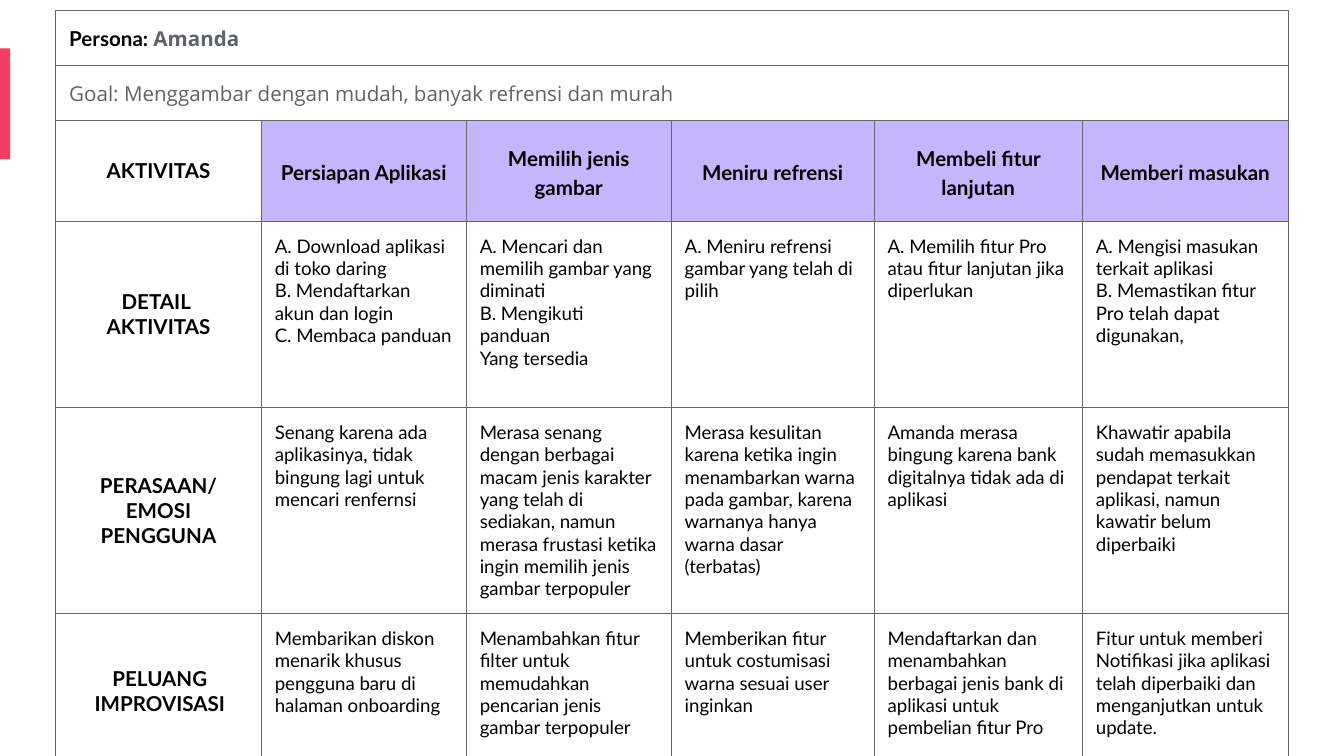
from dataclasses import dataclass

from lxml import etree
from pptx import Presentation
from pptx.dml.color import RGBColor
from pptx.enum.shapes import MSO_SHAPE
from pptx.enum.text import MSO_ANCHOR, PP_ALIGN
from pptx.oxml.ns import qn
from pptx.util import Emu, Pt

RECTANGLE = MSO_SHAPE.RECTANGLE
TOP, MIDDLE = MSO_ANCHOR.TOP, MSO_ANCHOR.MIDDLE
LEFT, CENTER = PP_ALIGN.LEFT, PP_ALIGN.CENTER

EMU_PER_PX = 4572  # 200 px to the inch
BLACK, GRAY, WHITE = "000000", "5F6368", "FFFFFF"
LILAC, ROSE, BORDER = "C4B5FD", "F43F5E", "666666"
BORDER_WIDTH = Pt(0.75)
CELL_MARGIN = 20

COLUMN_WIDTHS = [306, 305, 305, 302, 310, 306]
ROW_HEIGHTS = [74, 74, 150, 277, 264, 230]


@dataclass
class JourneyRow:
    label: str
    details: list[str]
    label_margin: int = CELL_MARGIN


STAGES = ["Persiapan Aplikasi", "Memilih jenis gambar", "Meniru refrensi",
          "Membeli fitur lanjutan", "Memberi masukan"]

JOURNEY_ROWS = [
    JourneyRow("DETAIL \nAKTIVITAS", [
        "A. Download aplikasi di toko daring\nB. Mendaftarkan akun dan login\nC. Membaca panduan",
        "A. Mencari dan memilih gambar yang diminati\nB. Mengikuti panduan\nYang tersedia",
        "A. Meniru refrensi gambar yang telah di pilih",
        "A. Memilih fitur Pro atau fitur lanjutan jika diperlukan",
        "A. Mengisi masukan terkait aplikasi\nB. Memastikan fitur Pro telah dapat digunakan,",
    ]),
    JourneyRow("PERASAAN/EMOSI\nPENGGUNA", [
        "Senang karena ada aplikasinya, tidak bingung lagi untuk mencari renfernsi",
        "Merasa senang dengan berbagai macam jenis karakter yang telah di sediakan, "
        "namun merasa frustasi ketika ingin memilih jenis gambar terpopuler",
        "Merasa kesulitan karena ketika ingin menambarkan warna pada gambar, "
        "karena warnanya hanya warna dasar (terbatas)",
        "Amanda merasa bingung karena bank digitalnya tidak ada di aplikasi",
        "Khawatir apabila sudah memasukkan pendapat terkait aplikasi, "
        "namun kawatir belum diperbaiki",
    ]),
    JourneyRow("PELUANG IMPROVISASI", [
        "Membarikan diskon menarik khusus pengguna baru di halaman onboarding",
        "Menambahkan fitur filter untuk memudahkan pencarian jenis gambar terpopuler",
        "Memberikan fitur untuk costumisasi warna sesuai user inginkan",
        "Mendaftarkan dan menambahkan berbagai jenis bank di aplikasi "
        "untuk pembelian fitur Pro",
        "Fitur untuk memberi Notifikasi jika aplikasi telah diperbaiki "
        "dan menganjutkan untuk update.",
    ], label_margin=24),
]


def px(length: int) -> Emu:
    return Emu(length * EMU_PER_PX)


def color(hex_code: str) -> RGBColor:
    return RGBColor.from_string(hex_code)


def add_run(paragraph, text: str, *, size=11, font="Lato", text_color=BLACK, bold=False) -> None:
    run = paragraph.add_run()
    run.text = text
    run.font.size = Pt(size)
    run.font.name = font
    run.font.bold = bold
    run.font.color.rgb = color(text_color)


def add_borders(cell) -> None:
    properties = cell._tc.get_or_add_tcPr()
    for position, side in enumerate(("a:lnL", "a:lnR", "a:lnT", "a:lnB")):
        line = etree.Element(qn(side), w=str(BORDER_WIDTH))
        fill = etree.SubElement(line, qn("a:solidFill"))
        etree.SubElement(fill, qn("a:srgbClr"), val=BORDER)
        properties.insert(position, line)


def set_margins(cell, left: int = CELL_MARGIN) -> None:
    cell.margin_left = px(left)
    cell.margin_right = cell.margin_top = cell.margin_bottom = px(CELL_MARGIN)


def shrink_spanned_cell(cell) -> None:
    """Keep the default 18 pt of a covered cell from stretching its row."""
    set_margins(cell)
    paragraph = cell.text_frame.paragraphs[0]
    end = etree.SubElement(paragraph._p, qn("a:endParaRPr"), sz="1100")
    etree.SubElement(end, qn("a:latin"), typeface="Lato")


def write_cell(cell, text: str, *, align=LEFT, anchor=MIDDLE, fill=WHITE,
               spacing=1.0, left_margin=CELL_MARGIN, **run_format) -> None:
    cell.fill.solid()
    cell.fill.fore_color.rgb = color(fill)
    cell.vertical_anchor = anchor
    set_margins(cell, left_margin)
    frame = cell.text_frame
    for index, line in enumerate(text.split("\n")):
        paragraph = frame.add_paragraph() if index else frame.paragraphs[0]
        paragraph.alignment = align
        paragraph.line_spacing = spacing
        add_run(paragraph, line, **run_format)


def add_journey_table(slide):
    frame = slide.shapes.add_table(len(ROW_HEIGHTS), len(COLUMN_WIDTHS), px(83), px(16),
                                   px(sum(COLUMN_WIDTHS)), px(sum(ROW_HEIGHTS)))
    table = frame.table
    table.first_row = table.horz_banding = False
    for column, width in zip(table.columns, COLUMN_WIDTHS):
        column.width = px(width)
    for row, height in zip(table.rows, ROW_HEIGHTS):
        row.height = px(height)
    for cell in table.iter_cells():
        add_borders(cell)
    return table


def main() -> None:
    presentation = Presentation()
    presentation.slide_width, presentation.slide_height = px(2000), px(1125)
    slide = presentation.slides.add_slide(presentation.slide_layouts[6])

    # Accent bar on the left edge
    accent = slide.shapes.add_shape(RECTANGLE, px(0), px(72), px(15), px(165))
    accent.shadow.inherit = False
    accent.fill.solid()
    accent.fill.fore_color.rgb = color(ROSE)
    accent.line.fill.background()

    # Persona and goal across the full width
    table = add_journey_table(slide)
    last_column = len(COLUMN_WIDTHS) - 1
    for row in range(2):
        table.cell(row, 0).merge(table.cell(row, last_column))
        for column in range(1, last_column + 1):
            shrink_spanned_cell(table.cell(row, column))
    persona = table.cell(0, 0)
    write_cell(persona, "Persona: ", bold=True)
    add_run(persona.text_frame.paragraphs[0], "Amanda",
            font="Open Sans", text_color=GRAY, bold=True)
    write_cell(table.cell(1, 0), "Goal: Menggambar dengan mudah, banyak refrensi dan murah",
               font="Open Sans", text_color=GRAY)

    # Stage headings
    write_cell(table.cell(2, 0), "AKTIVITAS", align=CENTER, bold=True)
    for column, stage in enumerate(STAGES, start=1):
        write_cell(table.cell(2, column), stage, align=CENTER, fill=LILAC,
                   spacing=1.15, bold=True)

    # Journey rows
    for row, journey in enumerate(JOURNEY_ROWS, start=3):
        write_cell(table.cell(row, 0), journey.label, align=CENTER,
                   left_margin=journey.label_margin, bold=True)
        for column, detail in enumerate(journey.details, start=1):
            write_cell(table.cell(row, column), detail, anchor=TOP, size=10)

    presentation.save("out.pptx")


if __name__ == "__main__":
    main()
